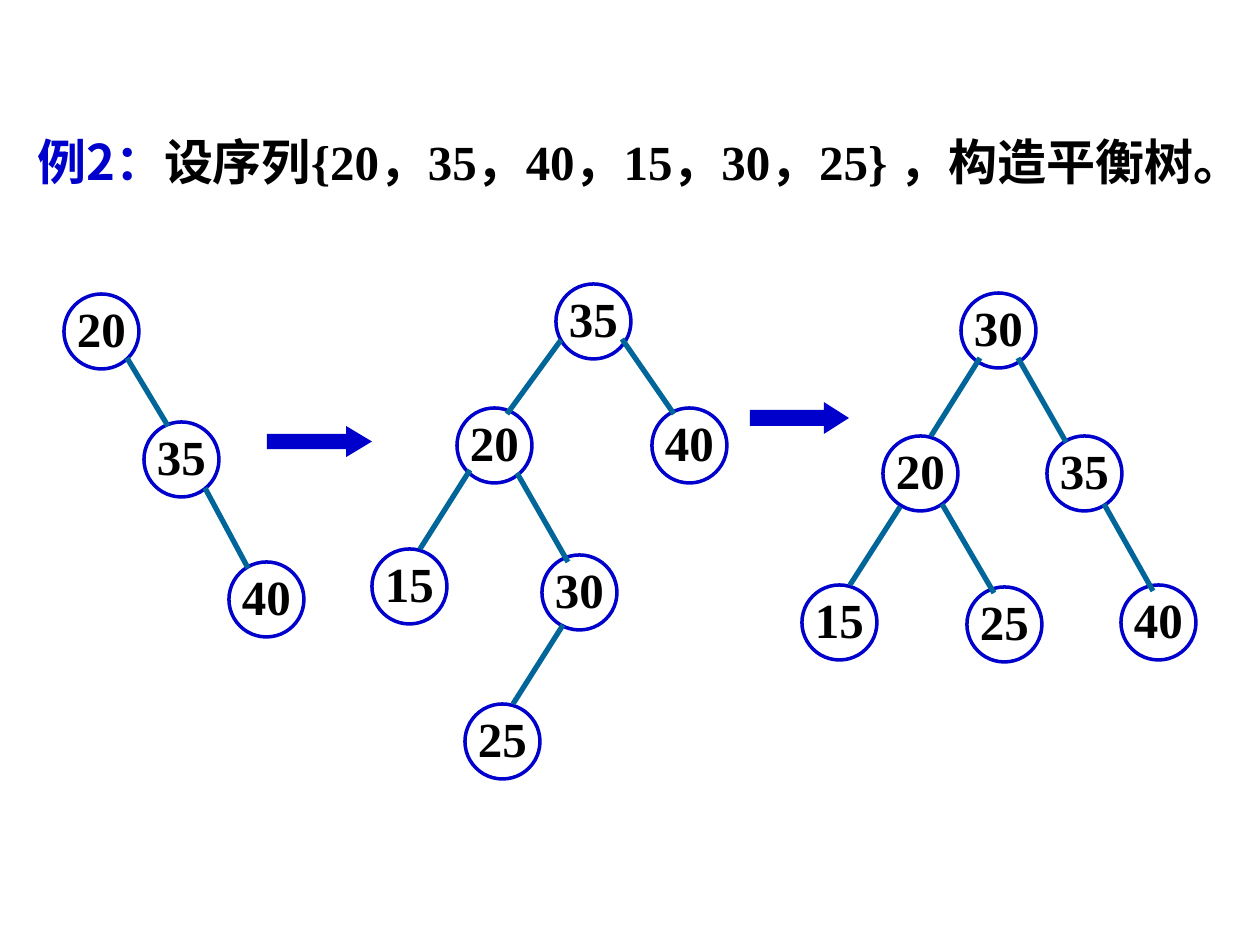
from itertools import groupby

from lxml import etree
from pptx import Presentation
from pptx.dml.color import RGBColor
from pptx.enum.shapes import MSO_CONNECTOR, MSO_SHAPE
from pptx.enum.text import MSO_ANCHOR, PP_ALIGN
from pptx.oxml.ns import qn
from pptx.util import Pt

PX = 914400 / 126
NODE_SIZE = 75
LATIN, CHINESE = "Times New Roman", "Noto Sans CJK SC"
BLUE, TEAL, BLACK = "0000CC", "006699", "000000"

HEADING_AT = (25, 125, 1235, 72)
HEADING = [
    ("例2：", BLUE, CHINESE),
    ("设序列{20，35，40，15，30，25} ，构造平衡树。", BLACK, LATIN),
]

# Each node: value, left, top, then the edge from its parent (x1, y1, x2, y2)
TREES = [
    [
        (20, 64, 294, None),
        (35, 144, 422, (127, 358, 168, 426)),
        (40, 229, 562, (205, 488, 248, 568)),
    ],
    [
        (35, 556, 284, None),
        (20, 457, 408, (561, 340, 507, 414)),
        (40, 652, 408, (622, 339, 674, 414)),
        (15, 372, 549, (470, 470, 420, 549)),
        (30, 542, 555, (517, 473, 568, 562)),
        (25, 465, 704, (563, 625, 513, 704)),
    ],
    [
        (30, 961, 293, None),
        (20, 883, 436, (980, 358, 931, 436)),
        (35, 1047, 436, (1018, 358, 1066, 442)),
        (15, 802, 585, (900, 507, 850, 585)),
        (25, 967, 587, (942, 504, 994, 593)),
        (40, 1121, 585, (1104, 504, 1153, 591)),
    ],
]

# left, top, width, height, length of the head relative to the height
ARROWS = [(267, 426, 105, 31, 0.833), (750, 402, 99, 32, 0.786)]


def px(*lengths):
    return [round(length * PX) for length in lengths]


def color(hex_text):
    return RGBColor.from_string(hex_text)


def add_span(para, text, hex_text, font_name):
    span = para.add_run()
    span.text = text
    for name, value in {"size": Pt(28), "bold": True, "name": font_name}.items():
        setattr(span.font, name, value)
    span.font.color.rgb = color(hex_text)
    east_asian = etree.Element(qn("a:ea"), typeface=CHINESE)
    span.font._element.find(qn("a:latin")).addnext(east_asian)


def add_heading(page):
    frame = page.shapes.add_textbox(*px(*HEADING_AT)).text_frame
    frame.word_wrap = True
    for text, hex_text, ascii_font in HEADING:
        for is_ascii, letters in groupby(text, str.isascii):
            font_name = ascii_font if is_ascii else CHINESE
            add_span(frame.paragraphs[0], "".join(letters), hex_text, font_name)


def add_edge(page, ends):
    edge = page.shapes.add_connector(MSO_CONNECTOR.STRAIGHT, *px(*ends))
    edge.line.color.rgb = color(TEAL)
    edge.line.width = Pt(3)
    etree.SubElement(edge._element.spPr, qn("a:effectLst"))


def add_node(page, value, left, top):
    node = page.shapes.add_shape(
        MSO_SHAPE.OVAL, *px(left, top, NODE_SIZE, NODE_SIZE))
    node.shadow.inherit = False
    node.fill.background()
    node.line.color.rgb = color(BLUE)
    node.line.width = Pt(2)
    frame = node.text_frame
    layout = {"word_wrap": False, "vertical_anchor": MSO_ANCHOR.MIDDLE,
              "margin_top": 0, "margin_bottom": Pt(3.6)}
    for name, setting in layout.items():
        setattr(frame, name, setting)
    para = frame.paragraphs[0]
    para.alignment = PP_ALIGN.CENTER
    add_span(para, str(value), BLACK, LATIN)


def add_arrow(page, left, top, width, height, head):
    arrow = page.shapes.add_shape(
        MSO_SHAPE.RIGHT_ARROW, *px(left, top, width, height))
    arrow.adjustments[0] = 0.5
    arrow.adjustments[1] = head
    arrow.shadow.inherit = False
    arrow.fill.solid()
    arrow.fill.fore_color.rgb = color(BLUE)
    arrow.line.fill.background()


def main():
    deck = Presentation()
    deck.slide_width, deck.slide_height = px(1260, 945)
    page = deck.slides.add_slide(deck.slide_layouts[6])
    add_heading(page)
    for tree in TREES:
        for value, left, top, edge in tree:
            add_node(page, value, left, top)
            if edge:
                add_edge(page, edge)
    for arrow in ARROWS:
        add_arrow(page, *arrow)
    deck.save("out.pptx")


if __name__ == "__main__":
    main()
